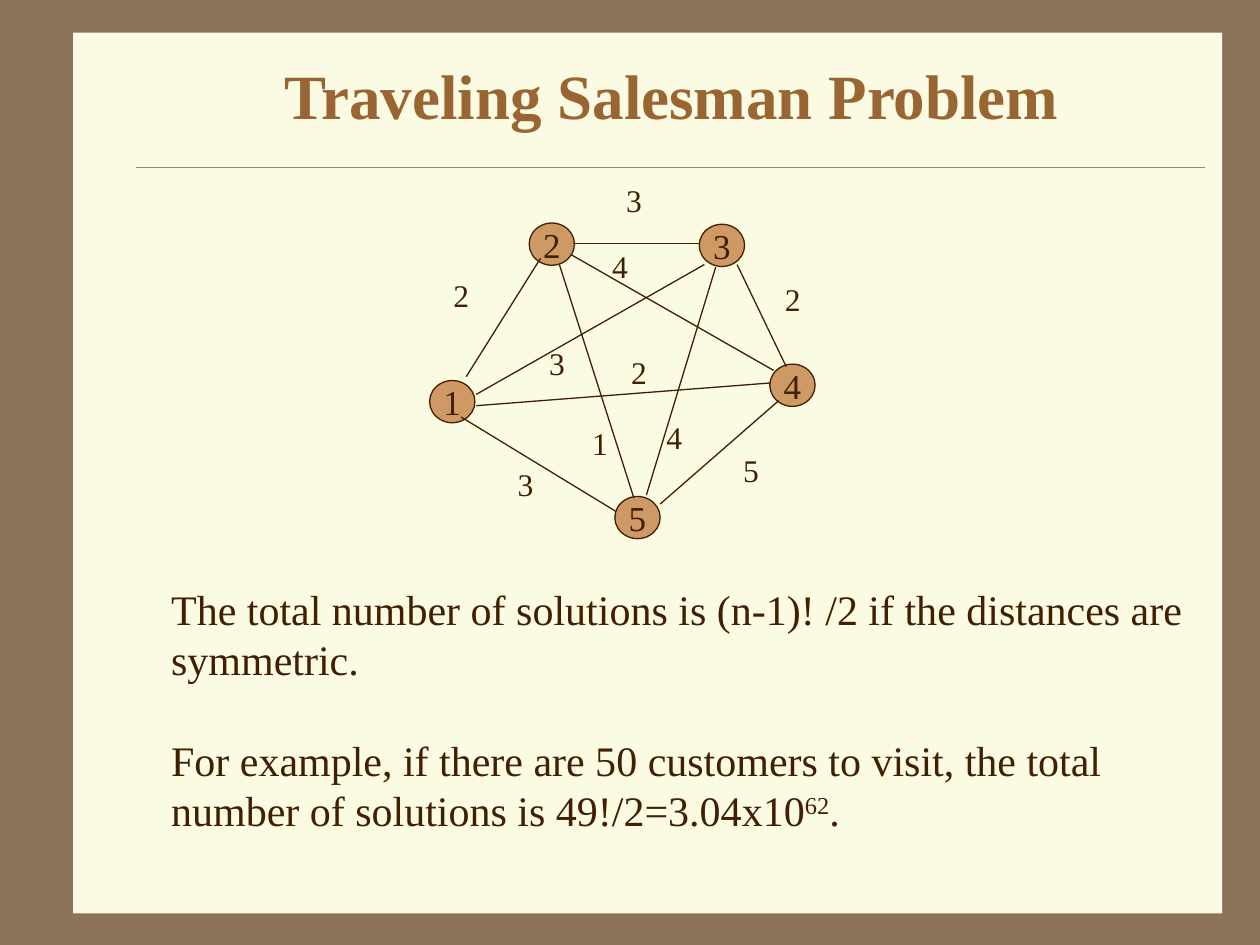
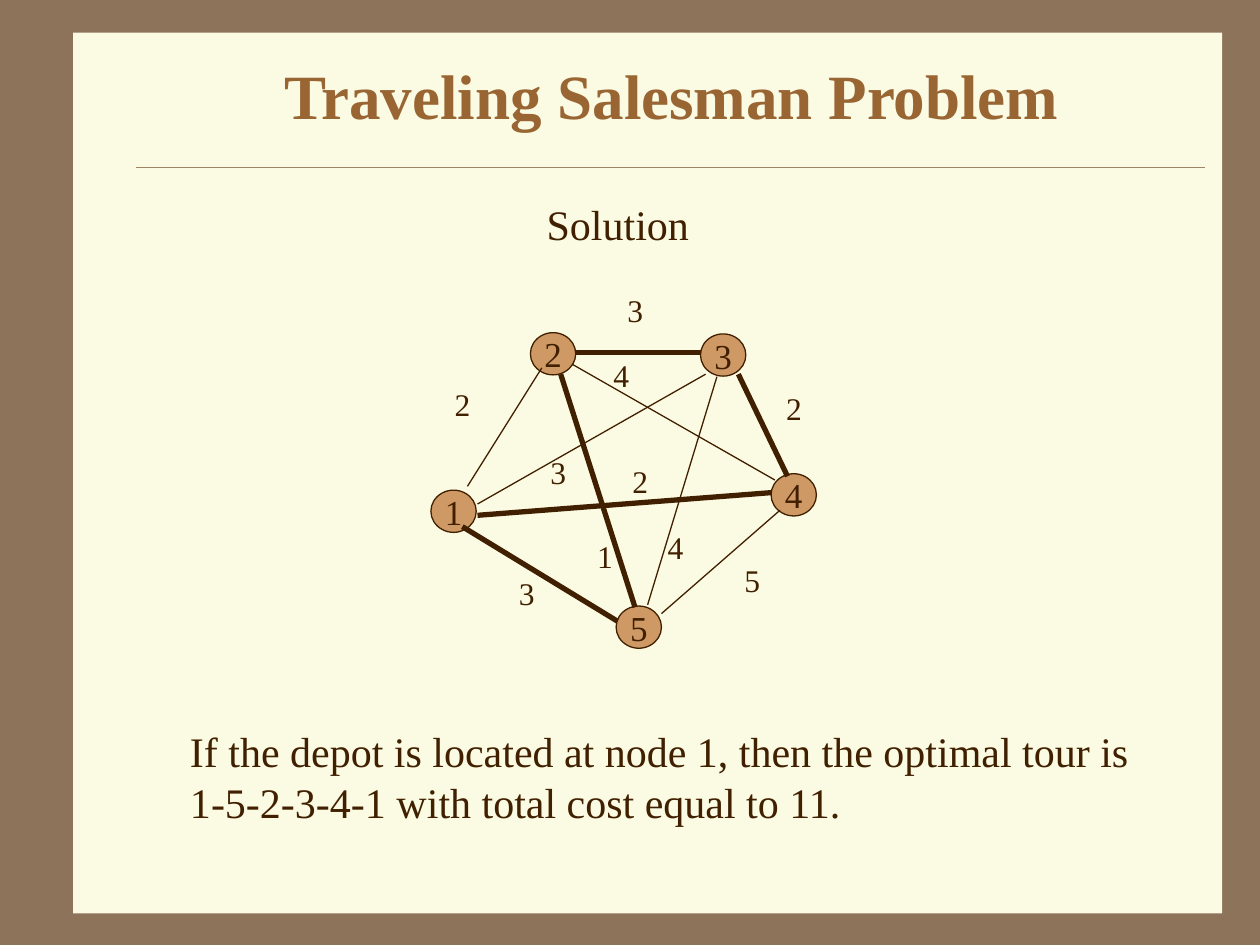
from dataclasses import dataclass, field

from lxml import etree
from pptx import Presentation
from pptx.dml.color import RGBColor
from pptx.enum.shapes import MSO_CONNECTOR as Connector, MSO_SHAPE as Preset
from pptx.enum.text import MSO_ANCHOR as Anchor, MSO_AUTO_SIZE as AutoSize, PP_ALIGN as Align
from pptx.oxml.ns import qn
from pptx.util import Emu, Inches, Pt

COLOURS = {
    "frame": "8C735A",
    "panel": "FBFAE2",
    "rule": "A08366",
    "title": "996633",
    "ink": "402000",
    "node": "CE9964",
}
FONT = "Times New Roman"
TITLE = "Traveling Salesman Problem"
TITLE_SIZE, BODY_SIZE, NODE_SIZE, COST_SIZE = 36, 24, 20, 18
LEADING = 1.2
THIN, BOLD = 0.75, 3

# The slide is a grid of 100 columns by 75 rows
COLUMNS, ROWS = 100, 75
SLIDE_WIDTH, SLIDE_HEIGHT = Inches(10), Inches(7.5)

Point = tuple[float, float]
Box = tuple[float, float, float, float]

PANEL: Box = (5.8, 2.6, 91.2, 69.9)
TITLE_BOX: Box = (10.8, 3.3, 85, 8.3)
RULE: tuple[Point, Point] = ((10.8, 13.3), (95.6, 13.3))
NODE_DIAMETERS: Point = (3.6, 3.35)
COST_BOX: Point = (3.2, 4)


@dataclass(frozen=True)
class Edge:
    ends: tuple[int, int]
    start: Point
    stop: Point
    cost: int
    cost_at: Point


@dataclass(frozen=True)
class Passage:
    box: Box
    paragraphs: list[list[str]]  # every second run is superscript
    wrap: bool = True


@dataclass(frozen=True)
class TourSlide:
    passages: list[Passage]
    shift: Point = (0, 0)
    tour: tuple[int, ...] = ()
    cost_nudges: dict[tuple[int, int], Point] = field(default_factory=dict)


# Network of customers
CUSTOMERS: dict[int, Point] = {
    2: (42, 17.7), 3: (55.5, 17.8), 1: (34.1, 30.2), 4: (61.1, 28.9), 5: (48.8, 39.4),
}
EDGES = [
    Edge((1, 2), (37, 29.9), (42.9, 20.5), 2, (35, 21.4)),
    Edge((2, 3), (45.5, 19.3), (55.5, 19.3), 3, (48.7, 13.9)),
    Edge((1, 5), (36.6, 33.1), (48.9, 40.6), 3, (40.1, 36.4)),
    Edge((3, 4), (58.5, 21), (62.4, 29.1), 2, (61.3, 21.7)),
    Edge((4, 5), (61.8, 31.8), (52.4, 40), 5, (58, 35.3)),
    Edge((2, 5), (44.4, 21), (50.3, 39.5), 1, (46, 33.2)),
    Edge((1, 3), (37.8, 31.3), (55.9, 21), 3, (42.6, 26.8)),
    Edge((1, 4), (37.8, 32.2), (61.1, 30.4), 2, (49.1, 27.5)),
    Edge((3, 5), (56.8, 21.2), (51.3, 39.3), 4, (51.9, 32.7)),
    Edge((2, 4), (45.3, 20.2), (61.4, 29.4), 4, (47.6, 19.1)),
]

SLIDES = [
    TourSlide([
        Passage((12.6, 45.8, 82.8, 21), [
            ["The total number of solutions is (n-1)! /2 if the distances are symmetric."],
            ["For example, if there are 50 customers to visit, the total number of "
             "solutions is 49!/2=3.04x10", "62", "."],
        ]),
    ]),
    TourSlide(
        [
            Passage((42.4, 15.3, 13.3, 5), [["Solution"]], wrap=False),
            Passage((14.1, 57.1, 78.6, 9), [
                ["If the depot is located at node 1, then the optimal tour is "
                 "1-5-2-3-4-1 with total cost equal to 11."],
            ]),
        ],
        shift=(0.1, 8.7),
        tour=(1, 5, 2, 3, 4, 1),
        cost_nudges={(2, 5): (0.3, 0.2)},
    ),
]


def colour(part: str) -> RGBColor:
    return RGBColor.from_string(COLOURS[part])


def col(columns: float) -> Emu:
    return Emu(round(SLIDE_WIDTH * columns / COLUMNS))


def row(rows: float) -> Emu:
    return Emu(round(SLIDE_HEIGHT * rows / ROWS))


def place(box: Box) -> tuple[Emu, Emu, Emu, Emu]:
    left, top, width, height = box
    return col(left), row(top), col(width), row(height)


def moved(point: Point, shift: Point) -> Point:
    return point[0] + shift[0], point[1] + shift[1]


def style(paragraph, size: float, part: str = "ink", align=Align.LEFT) -> None:
    paragraph.alignment = align
    paragraph.line_spacing = Pt(size * LEADING)
    font = paragraph.font
    font.name, font.size = FONT, Pt(size)
    font.color.rgb = colour(part)


def draw_line(shapes, start: Point, stop: Point, part: str, width: float) -> None:
    line = shapes.add_connector(
        Connector.STRAIGHT, col(start[0]), row(start[1]), col(stop[0]), row(stop[1]))
    line.line.color.rgb = colour(part)
    line.line.width = Pt(width)
    etree.SubElement(line.element.spPr, qn("a:effectLst"))


def draw_shape(shapes, preset, box: Box, part: str):
    shape = shapes.add_shape(preset, *place(box))
    shape.shadow.inherit = False
    shape.fill.solid()
    shape.fill.fore_color.rgb = colour(part)
    return shape


def draw_customer(shapes, number: int, corner: Point) -> None:
    node = draw_shape(shapes, Preset.OVAL, (*corner, *NODE_DIAMETERS), "node")
    node.line.color.rgb = colour("ink")
    node.line.width = Pt(THIN)
    frame = node.text_frame
    frame.word_wrap = False
    frame.vertical_anchor = Anchor.MIDDLE
    frame.text = str(number)
    style(frame.paragraphs[0], NODE_SIZE, align=Align.CENTER)


def draw_passage(shapes, passage: Passage, size: float) -> None:
    frame = shapes.add_textbox(*place(passage.box)).text_frame
    frame.word_wrap = passage.wrap
    frame.auto_size = AutoSize.SHAPE_TO_FIT_TEXT
    for index, runs in enumerate(passage.paragraphs):
        paragraph = frame.add_paragraph() if index else frame.paragraphs[0]
        style(paragraph, size)
        if index:
            paragraph.space_before = Pt(size * LEADING)
        for position, words in enumerate(runs):
            run = paragraph.add_run()
            run.text = words
            if position % 2:
                run._r.get_or_add_rPr().set("baseline", "30000")


def draw_network(slide, content: TourSlide) -> None:
    shapes = slide.shapes.add_group_shape().shapes
    legs = {frozenset(leg) for leg in zip(content.tour, content.tour[1:])}
    for number, corner in CUSTOMERS.items():
        draw_customer(shapes, number, moved(corner, content.shift))
    for edge in EDGES:
        width = BOLD if frozenset(edge.ends) in legs else THIN
        draw_line(shapes, moved(edge.start, content.shift),
                  moved(edge.stop, content.shift), "ink", width)
    for edge in EDGES:
        nudge = content.cost_nudges.get(edge.ends, (0, 0))
        corner = moved(moved(edge.cost_at, content.shift), nudge)
        cost = Passage((*corner, *COST_BOX), [[str(edge.cost)]], wrap=False)
        draw_passage(shapes, cost, COST_SIZE)


def draw_theme(slide) -> None:
    # Panel and title
    title = slide.shapes.title
    panel = draw_shape(slide.shapes, Preset.RECTANGLE, PANEL, "panel")
    panel.line.fill.background()
    title.element.addprevious(panel.element)
    title.left, title.top, title.width, title.height = place(TITLE_BOX)
    frame = title.text_frame
    frame.text = TITLE
    frame.word_wrap = True
    frame.auto_size = AutoSize.NONE
    frame.vertical_anchor = Anchor.MIDDLE
    style(frame.paragraphs[0], TITLE_SIZE, "title", Align.CENTER)
    frame.paragraphs[0].font.bold = True
    # Rule below the title
    draw_line(slide.shapes, *RULE, "rule", 0.25)


def main() -> None:
    deck = Presentation()
    deck.slide_width, deck.slide_height = SLIDE_WIDTH, SLIDE_HEIGHT
    backdrop = deck.slide_master.background.fill
    backdrop.solid()
    backdrop.fore_color.rgb = colour("frame")
    title_only = deck.slide_layouts.get_by_name("Title Only")
    for content in SLIDES:
        slide = deck.slides.add_slide(title_only)
        draw_theme(slide)
        draw_network(slide, content)
        for passage in content.passages:
            draw_passage(slide.shapes, passage, BODY_SIZE)
    deck.save("out.pptx")


if __name__ == "__main__":
    main()
